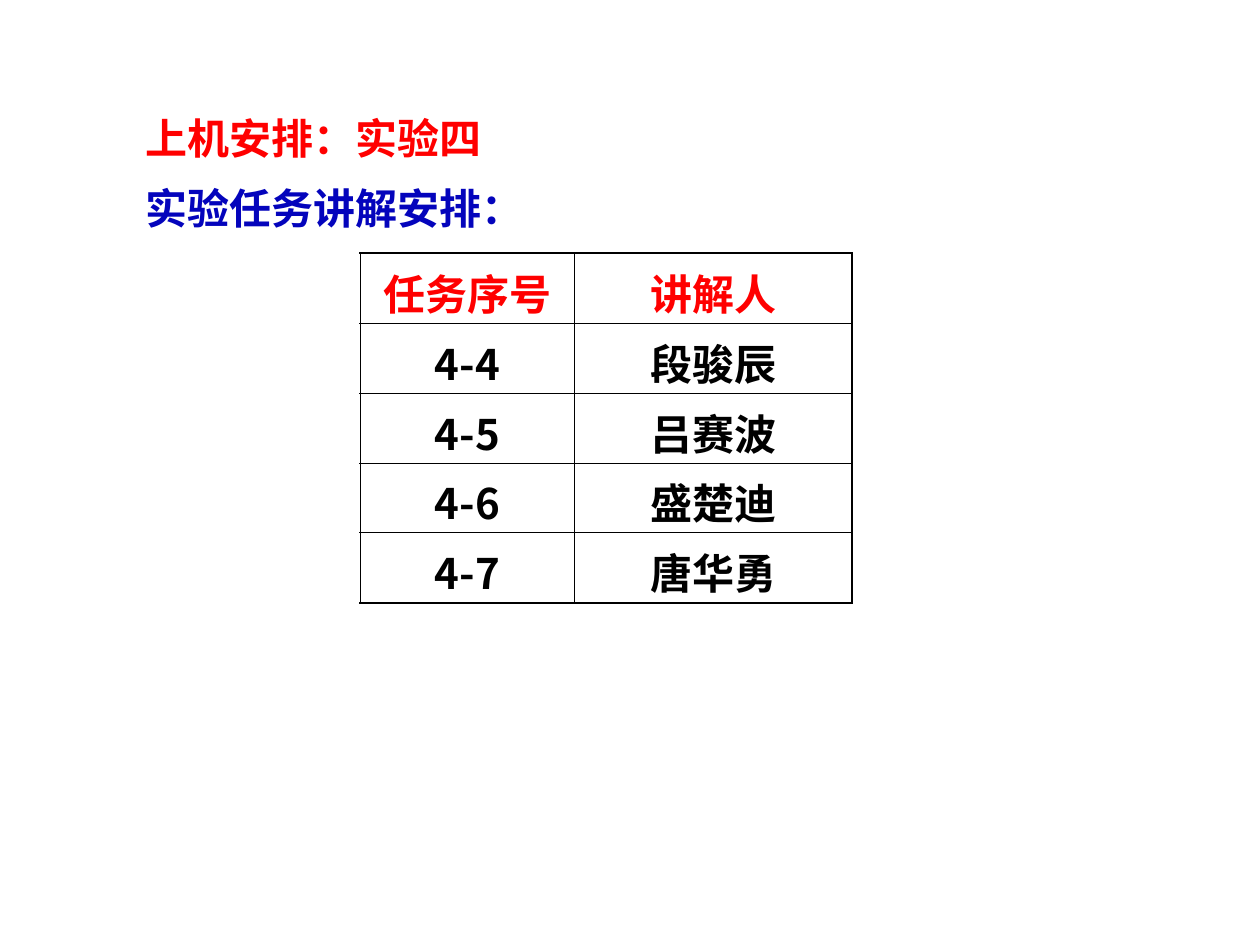
from pptx import Presentation
from pptx.dml.color import RGBColor
from pptx.enum.text import MSO_ANCHOR, PP_ALIGN
from pptx.oxml.ns import qn
from pptx.util import Inches, Pt
from lxml import etree

RED = RGBColor(0xFF, 0, 0)
BLUE = RGBColor(0x04, 0x04, 0xBC)
BLACK = RGBColor(0, 0, 0)
MIDDLE = MSO_ANCHOR.MIDDLE
CENTER = PP_ALIGN.CENTER
LATIN_FONT = "Arial"
CHINESE_FONT = "Noto Sans CJK SC"
OUTER_LINE, INNER_LINE = 1.08, 0.45
WIDTH, HEIGHT = Inches(10), Inches(7.5)

HEADINGS = [("上机安排：实验四", RED), ("实验任务讲解安排：", BLUE)]
SCHEDULE = [
    ("任务序号", "讲解人"),
    ("4-4", "段骏辰"),
    ("4-5", "吕赛波"),
    ("4-6", "盛楚迪"),
    ("4-7", "唐华勇"),
]


def write(para, text, color=BLACK, font=LATIN_FONT, size=24, align=None, before=0):
    para.alignment = align
    para.space_before = Pt(before)
    span = para.add_run()
    span.text = text
    span.font.name = font
    span.font.size = Pt(size)
    span.font.bold = True
    span.font.color.rgb = color
    if font == CHINESE_FONT:
        etree.SubElement(span.font._element, qn("a:ea"), typeface=font)


def set_border(cell, side, points):
    """Draw one side of a cell; side is L, R, T or B."""
    properties = cell._tc.get_or_add_tcPr()
    line = etree.SubElement(properties, qn(f"a:ln{side}"), w=str(Pt(points)))
    fill = etree.SubElement(line, qn("a:solidFill"))
    etree.SubElement(fill, qn("a:srgbClr"), val=str(BLACK))


class SlideBuilder:
    """Places elements by shares of the slide's width and height."""

    def __init__(self, page):
        self.page = page

    def frame(self, left, top, width, height):
        return (int(WIDTH * left), int(HEIGHT * top),
                int(WIDTH * width), int(HEIGHT * height))

    def headings(self, lines, *shares):
        box = self.page.shapes.add_textbox(*self.frame(*shares))
        box.text_frame.word_wrap = True
        for index, (text, color) in enumerate(lines):
            first = index == 0
            para = box.text_frame.paragraphs[0] if first else box.text_frame.add_paragraph()
            write(para, text, color=color, before=0 if first else 11.2)

    def table(self, rows, column_shares, *shares):
        last_row, last_column = len(rows) - 1, len(column_shares) - 1
        table = self.page.shapes.add_table(
            len(rows), len(column_shares), *self.frame(*shares)).table
        for column, share in zip(table.columns, column_shares):
            column.width = int(WIDTH * share)
        for r, texts in enumerate(rows):
            for c, text in enumerate(texts):
                cell = table.cell(r, c)
                cell.vertical_anchor = MIDDLE
                cell.margin_top, cell.margin_bottom = Inches(0.06), 0
                edges = {"L": c == 0, "R": c == last_column,
                         "T": r == 0, "B": r == last_row}
                for side, outer in edges.items():
                    set_border(cell, side, OUTER_LINE if outer else INNER_LINE)
                cell.fill.background()
                write(cell.text_frame.paragraphs[0], text, font=CHINESE_FONT,
                      color=RED if r == 0 else BLACK, align=CENTER)


def main():
    deck = Presentation()
    deck.slide_width, deck.slide_height = WIDTH, HEIGHT
    builder = SlideBuilder(deck.slides.add_slide(deck.slide_layouts[6]))
    builder.headings(HEADINGS, 0.106, 0.112, 0.787, 0.141)
    builder.table(SCHEDULE, (0.17, 0.22), 0.286, 0.268, 0.39, 0.37)
    deck.save("out.pptx")


if __name__ == "__main__":
    main()
